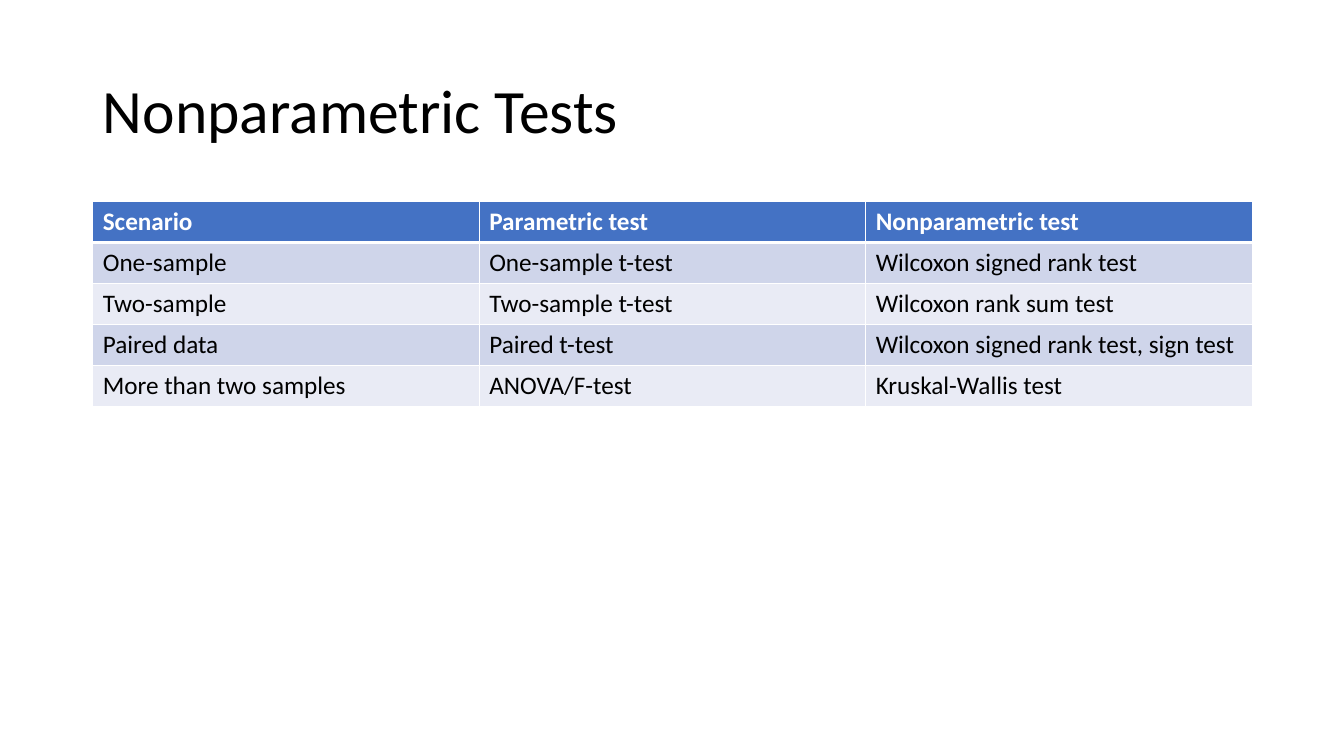
"""Build a slide that pairs parametric tests with nonparametric ones."""
from lxml.etree import SubElement
from pptx import Presentation
from pptx.dml.color import RGBColor
from pptx.enum.text import MSO_ANCHOR as Anchor, MSO_AUTO_SIZE as AutoSize, PP_ALIGN as Align
from pptx.oxml.ns import qn
from pptx.util import Inches, Pt

BLACK = RGBColor(0x00, 0x00, 0x00)
WHITE = RGBColor(0xFF, 0xFF, 0xFF)
HEADER_BLUE = RGBColor(0x44, 0x72, 0xC4)
BANDS = (RGBColor(0xCF, 0xD5, 0xEA), RGBColor(0xE9, 0xEB, 0xF5))
FONT = "Calibri"
LEFT, WIDTH = Inches(0.92), Inches(11.5)
TESTS = (
    ("Scenario", "Parametric test", "Nonparametric test"),
    ("One-sample", "One-sample t-test", "Wilcoxon signed rank test"),
    ("Two-sample", "Two-sample t-test", "Wilcoxon rank sum test"),
    ("Paired data", "Paired t-test", "Wilcoxon signed rank test, sign test"),
    ("More than two samples", "ANOVA/F-test", "Kruskal-Wallis test"),
)


def add_run(paragraph, text, size, color, bold=False):
    """Add one formatted run to a paragraph."""
    run = paragraph.add_run()
    run.text = text
    run.font.name = FONT
    run.font.size = Pt(size)
    run.font.bold = bold
    run.font.color.rgb = color


def set_title(slide, text):
    """Place and fill the title placeholder."""
    title = slide.shapes.title
    title.left, title.top = LEFT, Inches(0.4)
    title.width, title.height = WIDTH, Inches(1.45)
    frame = title.text_frame
    frame.auto_size = AutoSize.NONE
    frame.word_wrap = True
    frame.vertical_anchor = Anchor.MIDDLE
    heading = frame.paragraphs[0]
    heading.alignment = Align.LEFT
    heading.line_spacing = 0.9
    add_run(heading, text, 44, BLACK)


def set_borders(cell, top, bottom):
    """Draw white borders of the given point widths, with thin sides."""
    properties = cell._tc.get_or_add_tcPr()
    for side, width in (("L", 1), ("R", 1), ("T", top), ("B", bottom)):
        line = SubElement(properties, qn(f"a:ln{side}"), w=str(Pt(width)))
        fill = SubElement(line, qn("a:solidFill"))
        SubElement(fill, qn("a:srgbClr"), val=str(WHITE))


def format_cell(cell, text, row):
    """Fill a cell according to its row in the table."""
    is_header = row == 0
    set_borders(cell, top=3 if row == 1 else 1, bottom=3 if is_header else 1)
    cell.fill.solid()
    cell.fill.fore_color.rgb = HEADER_BLUE if is_header else BANDS[(row - 1) % 2]
    color = WHITE if is_header else BLACK
    add_run(cell.text_frame.paragraphs[0], text, 18, color, is_header)


def add_test_table(slide, tests):
    """Add the table of tests with equal columns and rows."""
    frame = slide.shapes.add_table(
        len(tests), len(tests[0]), LEFT, Inches(2), WIDTH, Inches(2.03)
    )
    for row, entries in enumerate(tests):
        for column, text in enumerate(entries):
            format_cell(frame.table.cell(row, column), text, row)


def main():
    """Build and save the presentation."""
    deck = Presentation()
    deck.slide_width, deck.slide_height = Inches(13.33), Inches(7.5)
    slide = deck.slides.add_slide(deck.slide_layouts.get_by_name("Title Only"))
    set_title(slide, "Nonparametric Tests")
    add_test_table(slide, TESTS)
    deck.save("out.pptx")


main()
